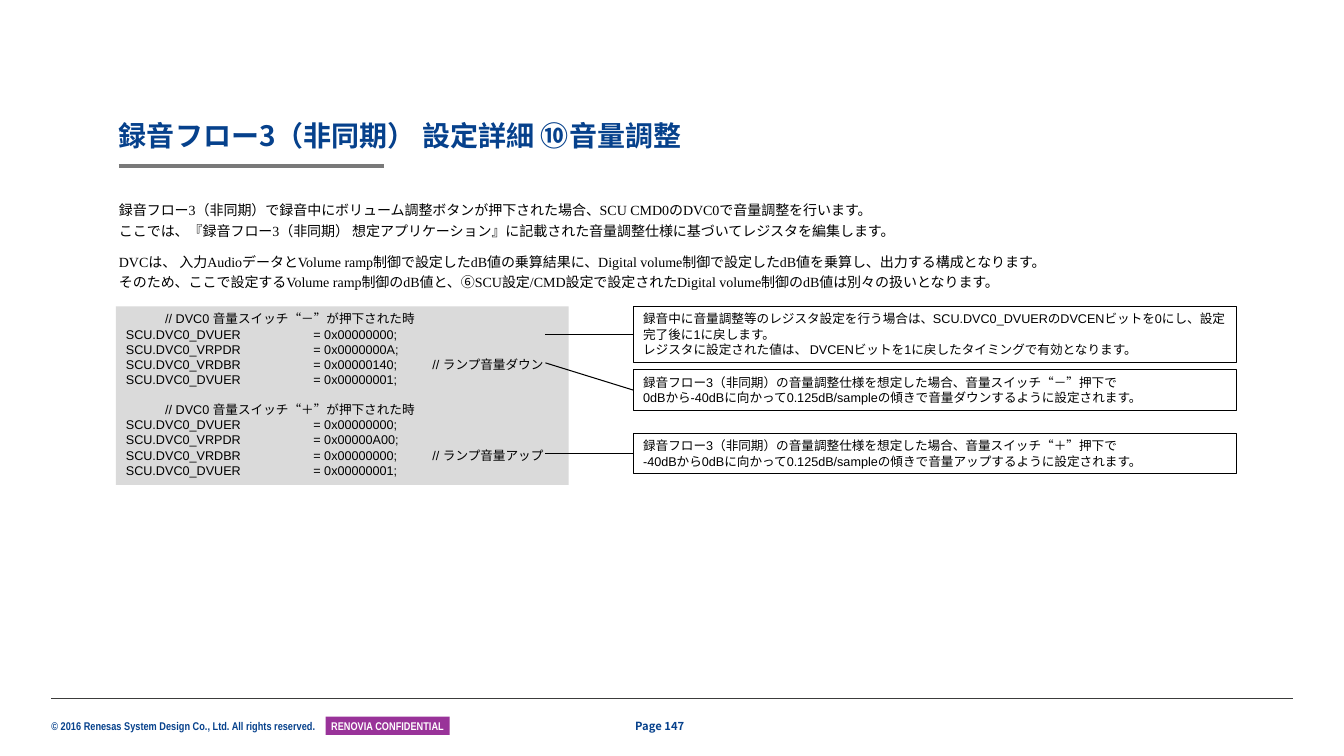
import pptx
import pptx.dml.color
import pptx.enum.shapes
import pptx.enum.text
import pptx.oxml
import pptx.oxml.ns
import pptx.util
from lxml import etree

# Content
TITLE = "録音フロー3（非同期） 設定詳細 ⑩音量調整"
BODY = [
    "録音フロー3（非同期）で録音中にボリューム調整ボタンが押下された場合、SCU CMD0のDVC0で音量調整を行います。\v"
    "ここでは、『録音フロー3（非同期） 想定アプリケーション』に記載された音量調整仕様に基づいてレジスタを編集します。",
    "DVCは、 入力AudioデータとVolume ramp制御で設定したdB値の乗算結果に、Digital volume制御で設定したdB値を乗算し、出力する構成となります。\v"
    "そのため、ここで設定するVolume ramp制御のdB値と、⑥SCU設定/CMD設定で設定されたDigital volume制御のdB値は別々の扱いとなります。",
]
CODE = [
    "\t// DVC0 音量スイッチ“－”が押下された時",
    "SCU.DVC0_DVUER\t= 0x00000000;",
    "SCU.DVC0_VRPDR\t= 0x0000000A;",
    "SCU.DVC0_VRDBR\t= 0x00000140;\t// ランプ音量ダウン",
    "SCU.DVC0_DVUER\t= 0x00000001;",
    "",
    "\t// DVC0 音量スイッチ“＋”が押下された時",
    "SCU.DVC0_DVUER\t= 0x00000000;",
    "SCU.DVC0_VRPDR\t= 0x00000A00;",
    "SCU.DVC0_VRDBR\t= 0x00000000;\t// ランプ音量アップ",
    "SCU.DVC0_DVUER\t= 0x00000001;",
]
# Each note: top, height, line start y, line end y, text
NOTES = [
    (3.04, 0.56, 3.32, 3.32, [
        "録音中に音量調整等のレジスタ設定を行う場合は、SCU.DVC0_DVUERのDVCENビットを0にし、設定完了後に1に戻します。",
        "レジスタに設定された値は、 DVCENビットを1に戻したタイミングで有効となります。"]),
    (3.67, 0.4, 3.6, 3.87, [
        "録音フロー3（非同期）の音量調整仕様を想定した場合、音量スイッチ“－”押下で",
        "0dBから-40dBに向かって0.125dB/sampleの傾きで音量ダウンするように設定されます。"]),
    (4.3, 0.4, 4.5, 4.5, [
        "録音フロー3（非同期）の音量調整仕様を想定した場合、音量スイッチ“＋”押下で",
        "-40dBから0dBに向かって0.125dB/sampleの傾きで音量アップするように設定されます。"]),
]
RIGHTS = "© 2016 Renesas System Design Co., Ltd. All rights reserved."
BADGE = "RENOVIA CONFIDENTIAL"
PAGE = "Page 147"

COLORS = {"blue": "06418C", "black": "000000", "white": "FFFFFF", "code": "DADADA",
          "badge": "993399", "rule": "797979", "foot": "3C3C3B"}
CJK = "Noto Sans CJK JP"
LEFT, NOTE_X, TAIL_X = 1.18, 6.28, 5.41
ANCHOR = pptx.enum.text.MSO_ANCHOR
ALIGN = pptx.enum.text.PP_ALIGN
Inches, Pt, qn = pptx.util.Inches, pptx.util.Pt, pptx.oxml.ns.qn

deck = pptx.Presentation()
deck.slide_width, deck.slide_height = Inches(13.33), Inches(7.5)
slide = deck.slides.add_slide(deck.slide_layouts[6])


def tint(name):
    return pptx.dml.color.RGBColor.from_string(COLORS[name])


def add_line(x1, y1, x2, y2, color, width):
    line = slide.shapes.add_connector(
        pptx.enum.shapes.MSO_CONNECTOR.STRAIGHT, *map(Inches, (x1, y1, x2, y2)))
    line.line.color.rgb = tint(color)
    line.line.width = Pt(width)
    etree.SubElement(line._element.spPr, qn("a:effectLst"))


def add_box(x, y, w, h, fill=None, edge=None):
    box = slide.shapes.add_shape(
        pptx.enum.shapes.MSO_SHAPE.RECTANGLE, *map(Inches, (x, y, w, h)))
    box.shadow.inherit = False
    if fill:
        box.fill.solid()
        box.fill.fore_color.rgb = tint(fill)
    else:
        box.fill.background()
    if edge:
        box.line.color.rgb = tint(edge)
        box.line.width = Pt(0.75)
    else:
        box.line.fill.background()
    return box


def add_label(x, y, w, h):
    return slide.shapes.add_textbox(*map(Inches, (x, y, w, h)))


def write(box, lines, size, face, color="black", bold=False, pad=(0, 0), anchor=ANCHOR.TOP,
          align=ALIGN.LEFT, space=None, after=0, tabs=(), wrap=True):
    frame = box.text_frame
    frame.text = "\n".join(lines)
    frame.word_wrap = wrap
    frame.vertical_anchor = anchor
    frame.margin_left = frame.margin_right = Inches(pad[0])
    frame.margin_top = frame.margin_bottom = Inches(pad[1])
    for para in frame.paragraphs:
        para.alignment = align
        para.space_after = Pt(after)
        if space:
            para.line_spacing = space
        if tabs:
            stops = etree.SubElement(para._p.get_or_add_pPr(), qn("a:tabLst"))
            for stop in tabs:
                etree.SubElement(stops, qn("a:tab"), pos=str(Inches(stop)), algn="l")
        for run in para.runs:
            font = run.font
            font.size, font.name, font.bold = Pt(size), face, bold
            font.color.rgb = tint(color)
            etree.SubElement(run._r.get_or_add_rPr(), qn("a:ea"), typeface=CJK)
        # Breaks and empty lines keep the text size
        for gap in para._p.findall(qn("a:br")):
            etree.SubElement(gap, qn("a:rPr"), sz=str(size * 100))
        if not para.runs:
            etree.SubElement(para._p, qn("a:endParaRPr"), sz=str(size * 100))


# Footer
add_line(0.51, 6.93, 12.82, 6.93, "foot", 0.5)
write(add_box(3.23, 7.11, 1.23, 0.18, fill="badge"), [BADGE], 8, "Arial Narrow", "white",
      True, (0.04, 0), ANCHOR.MIDDLE, ALIGN.CENTER)
write(add_label(0.51, 7.14, 2.67, 0.13), [RIGHTS], 8, "Arial Narrow", "blue", True, wrap=False)
write(add_label(6.3, 7.14, 0.73, 0.13), [PAGE], 8, CJK, "blue", True, anchor=ANCHOR.MIDDLE)

# Title and body
add_line(LEFT, 1.65, 3.81, 1.65, "rule", 3)
write(add_label(LEFT, 1.2, 9.84, 0.31), [TITLE], 20, CJK, "blue", True,
      anchor=ANCHOR.BOTTOM, space=0.9)
write(add_label(LEFT, 1.97, 9.84, 0.92), BODY, 10, "Times New Roman", space=Pt(14.4), after=8)

# Code panel
small = {"size": 9, "face": "Arial", "pad": (0.1, 0.05), "space": Pt(10.8)}
panel = add_box(1.15, 3.04, 4.49, 1.77, fill="code")
write(panel, CODE, tabs=(0.39, 1.86, 3.04), **small)

# Notes with their lines
for top, height, start, end, lines in NOTES:
    write(add_box(NOTE_X, top, 5.98, height, edge="black"), lines, **small)
    add_line(NOTE_X, end, TAIL_X, start, "black", 0.75)

deck.save("out.pptx")
